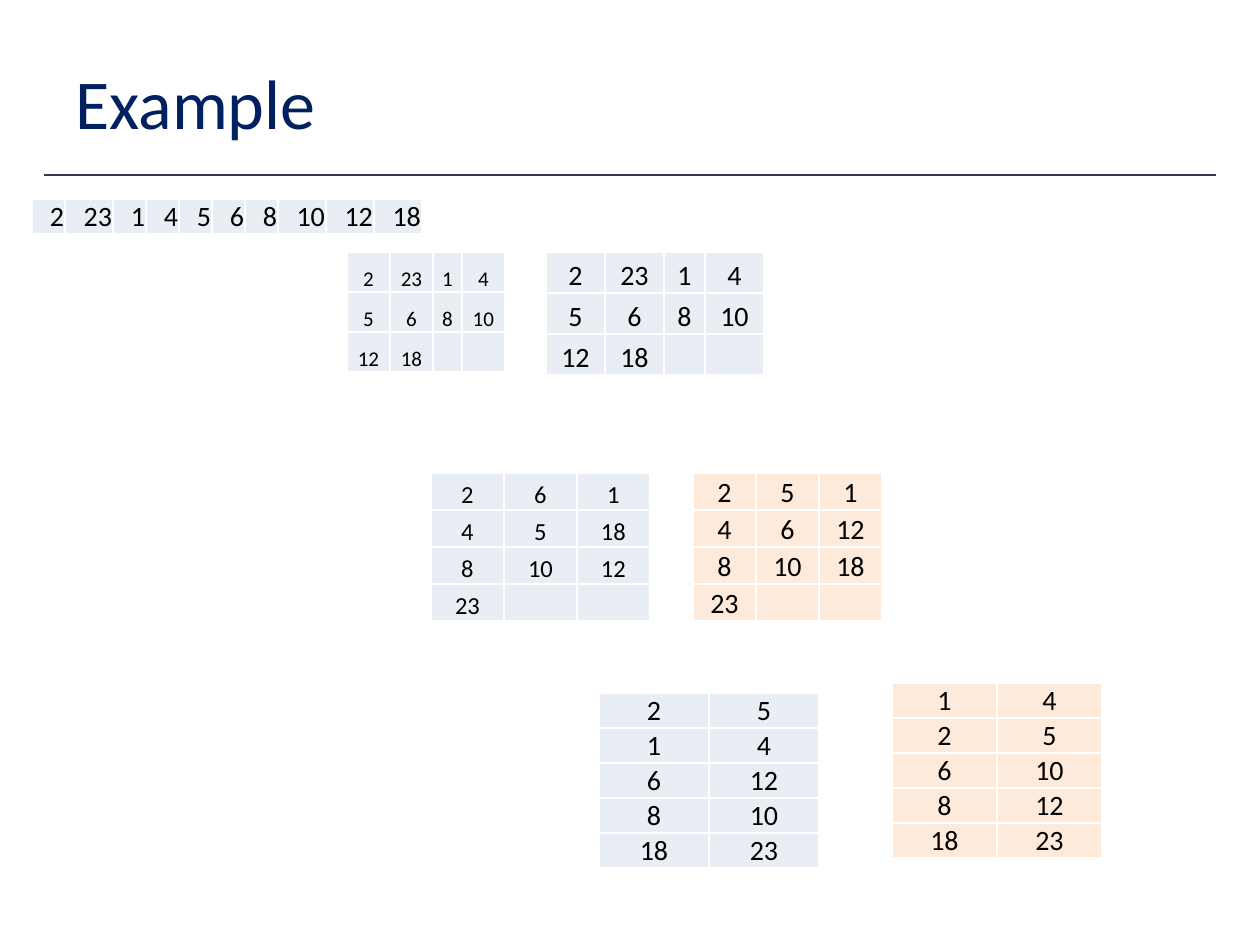
from dataclasses import dataclass

from lxml.etree import SubElement
from pptx import Presentation
from pptx.dml.color import RGBColor
from pptx.enum.shapes import MSO_CONNECTOR as Connector
from pptx.enum.text import MSO_ANCHOR as Anchor, PP_ALIGN as Align
from pptx.oxml.ns import qn
from pptx.slide import Slide
from pptx.util import Emu, Pt

EMU_PER_PX = 914400 / 126
FONT = "Calibri"
BLUE = "E9EDF4"
ORANGE = "FDEADA"


@dataclass(frozen=True)
class NumberGrid:
    left: int
    top: int
    columns: tuple[int, ...]
    row_height: int
    rows: tuple[tuple[int, ...], ...]
    fill: str = BLUE
    size: int = 16
    align: Align = Align.CENTER


# Rows may be shorter than the grid; the remaining cells stay empty.
GRIDS = (
    NumberGrid(32, 199, (33, 48) + (33,) * 5 + (48,) * 3, 35,
               ((2, 23, 1, 4, 5, 6, 8, 10, 12, 18),), align=Align.RIGHT),
    NumberGrid(546, 252, (59, 59, 41, 59), 41,
               ((2, 23, 1, 4), (5, 6, 8, 10), (12, 18))),
    NumberGrid(693, 473, (63,) * 3, 37,
               ((2, 5, 1), (4, 6, 12), (8, 10, 18), (23,)), ORANGE),
    NumberGrid(599, 693, (110,) * 2, 35,
               ((2, 5), (1, 4), (6, 12), (8, 10), (18, 23))),
    NumberGrid(892, 683, (105,) * 2, 35,
               ((1, 4), (2, 5), (6, 10), (8, 12), (18, 23)), ORANGE),
    NumberGrid(347, 252, (43, 43, 29, 43), 40,
               ((2, 23, 1, 4), (5, 6, 8, 10), (12, 18)), size=12),
    NumberGrid(431, 473, (73,) * 3, 37,
               ((2, 6, 1), (4, 5, 18), (8, 10, 12), (23,)), size=14),
)


def px(length: int) -> Emu:
    return Emu(round(length * EMU_PER_PX))


def color(hex_string: str) -> RGBColor:
    return RGBColor.from_string(hex_string)


def style_text(paragraph, size: int, text_color: str) -> None:
    paragraph.font.name = FONT
    paragraph.font.size = Pt(size)
    paragraph.font.color.rgb = color(text_color)


def add_title(slide: Slide, text: str) -> None:
    frame = slide.shapes.add_textbox(px(63), px(38), px(1134), px(127)).text_frame
    frame.word_wrap = True
    frame.vertical_anchor = Anchor.MIDDLE
    frame.text = text
    style_text(frame.paragraphs[0], 40, "002060")


def add_title_rule(slide: Slide) -> None:
    rule = slide.shapes.add_connector(Connector.STRAIGHT, px(44), px(175), px(1216), px(175))
    rule.line.color.rgb = color("403152")
    rule.line.width = Pt(1)
    SubElement(rule.element.spPr, qn("a:effectLst"))


def add_grid(slide: Slide, grid: NumberGrid) -> None:
    row_count = len(grid.rows)
    table = slide.shapes.add_table(
        row_count, len(grid.columns), px(grid.left), px(grid.top),
        px(sum(grid.columns)), px(grid.row_height * row_count)).table
    table.first_row = False
    table.horz_banding = False
    for column, width in zip(table.columns, grid.columns):
        column.width = px(width)
    for row, numbers in zip(table.rows, grid.rows):
        row.height = px(grid.row_height)
        for index, cell in enumerate(row.cells):
            cell.fill.solid()
            cell.fill.fore_color.rgb = color(grid.fill)
            cell.vertical_anchor = Anchor.BOTTOM
            cell.margin_left = cell.margin_right = cell.margin_top = px(1)
            cell.margin_bottom = 0
            if index < len(numbers):
                cell.text = str(numbers[index])
            paragraph = cell.text_frame.paragraphs[0]
            paragraph.alignment = grid.align
            style_text(paragraph, grid.size, "000000")


def main() -> None:
    presentation = Presentation()
    presentation.slide_width = px(1260)
    presentation.slide_height = px(945)
    slide = presentation.slides.add_slide(presentation.slide_layouts[6])
    add_title_rule(slide)
    add_title(slide, "Example")
    for grid in GRIDS:
        add_grid(slide, grid)
    presentation.save("out.pptx")


if __name__ == "__main__":
    main()
